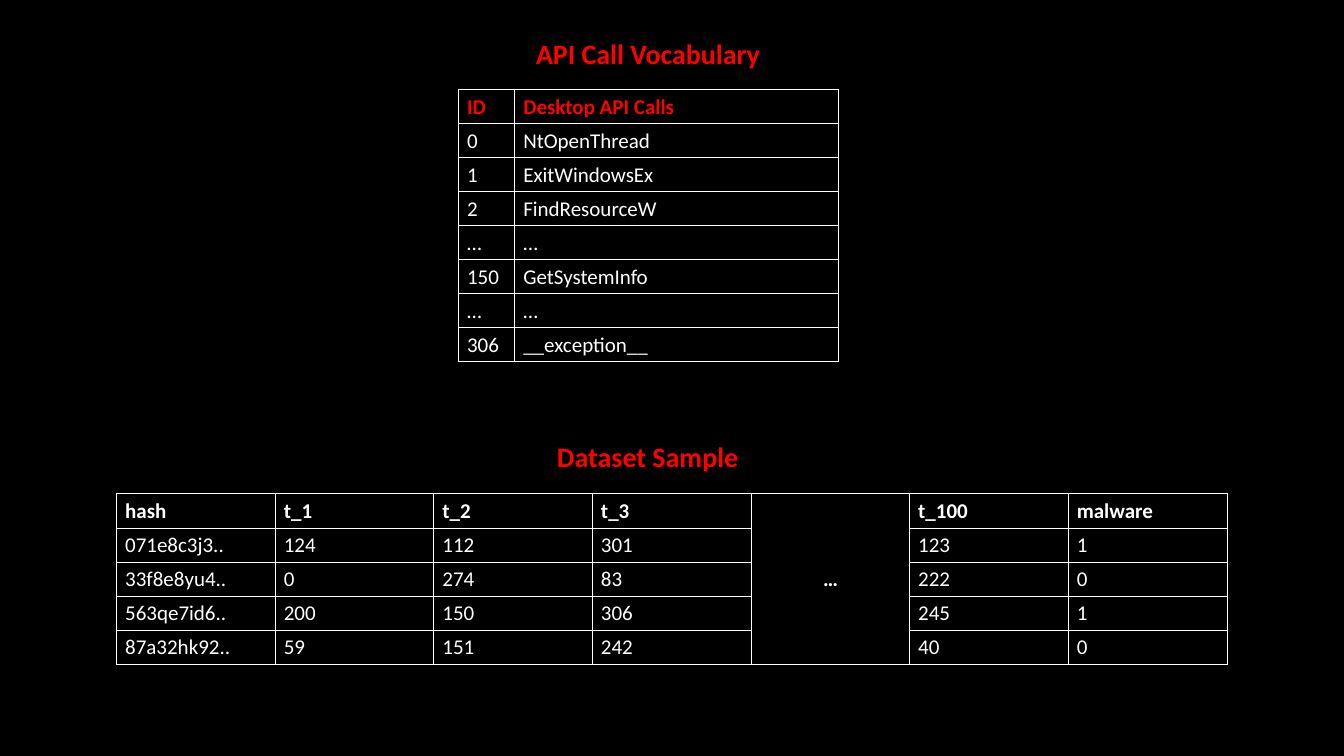
import pptx
import pptx.util
import pptx.oxml
import pptx.oxml.ns
import pptx.dml.color
import pptx.enum.text

Inches = pptx.util.Inches
Pt = pptx.util.Pt
RED = pptx.dml.color.RGBColor(255, 0, 0)
WHITE = pptx.dml.color.RGBColor(255, 255, 255)
BLACK = pptx.dml.color.RGBColor(0, 0, 0)
FONT = "Calibri"
CENTER = pptx.enum.text.PP_ALIGN.CENTER
MIDDLE = pptx.enum.text.MSO_ANCHOR.MIDDLE

CALLS = [
    ["ID", "Desktop API Calls"],
    ["0", "NtOpenThread"],
    ["1", "ExitWindowsEx"],
    ["2", "FindResourceW"],
    ["…", "…"],
    ["150", "GetSystemInfo"],
    ["…", "…"],
    ["306", "__exception__"],
]
SAMPLE = [
    ["hash", "t_1", "t_2", "t_3", "…", "t_100", "malware"],
    ["071e8c3j3..", "124", "112", "301", "", "123", "1"],
    ["33f8e8yu4..", "0", "274", "83", "", "222", "0"],
    ["563qe7id6..", "200", "150", "306", "", "245", "1"],
    ["87a32hk92..", "59", "151", "242", "", "40", "0"],
]
GAP = 4


def style(frame, size, color, bold):
    for par in frame.paragraphs:
        for run in par.runs:
            run.font.name = FONT
            run.font.size = Pt(size)
            run.font.bold = bold
            run.font.color.rgb = color


def border(cell):
    props = cell._tc.get_or_add_tcPr()
    for side in ("lnL", "lnR", "lnT", "lnB"):
        props.append(pptx.oxml.parse_xml(
            f'<a:{side} {pptx.oxml.ns.nsdecls("a")} w="{Pt(1)}">'
            f'<a:solidFill><a:srgbClr val="{WHITE}"/></a:solidFill></a:{side}>'))


def title(slide, text, left, top, width, height):
    box = slide.shapes.add_textbox(
        Inches(left), Inches(top), Inches(width), Inches(height))
    frame = box.text_frame
    frame.word_wrap = True
    frame.auto_size = pptx.enum.text.MSO_AUTO_SIZE.SHAPE_TO_FIT_TEXT
    frame.text = text
    frame.paragraphs[0].alignment = CENTER
    style(frame, 24, RED, True)


def grid(slide, data, left, top, widths, height, head):
    table = slide.shapes.add_table(
        len(data), len(widths), Inches(left), Inches(top),
        Inches(sum(widths)), Inches(height)).table
    table.first_row = False
    table.horz_banding = False
    for col, width in zip(table.columns, widths):
        col.width = Inches(width)
    for r, row in enumerate(data):
        table.rows[r].height = Inches(height / len(data))
        for c, text in enumerate(row):
            cell = table.cell(r, c)
            cell.text_frame.text = text
            style(cell.text_frame, 18, WHITE if r else head, r == 0)
            border(cell)
            cell.fill.solid()
            cell.fill.fore_color.rgb = BLACK
    return table


def vocab(slide, left, top):
    title(slide, "API Call Vocabulary", left + 0.28, top, 3.95, 0.5)
    grid(slide, CALLS, left, top + 0.68, [0.67, 3.85], 3.24, RED)


def sample(slide, left, top, width):
    title(slide, "Dataset Sample", left + 3.82, top, 5, 0.5)
    count = len(SAMPLE[0])
    table = grid(slide, SAMPLE, left, top + 0.7,
                 [width / count] * count, 2.03, WHITE)
    cell = table.cell(0, GAP)
    cell.merge(table.cell(len(SAMPLE) - 1, GAP))
    cell.vertical_anchor = MIDDLE
    cell.text_frame.paragraphs[0].alignment = CENTER


def main():
    deck = pptx.Presentation()
    deck.slide_width = Inches(16)
    deck.slide_height = Inches(9)
    slide = deck.slides.add_slide(deck.slide_layouts[6])
    slide.background.fill.solid()
    slide.background.fill.fore_color.rgb = BLACK
    vocab(slide, 5.46, 0.39)
    sample(slide, 1.39, 5.18, 13.22)
    deck.save("out.pptx")


if __name__ == "__main__":
    main()
